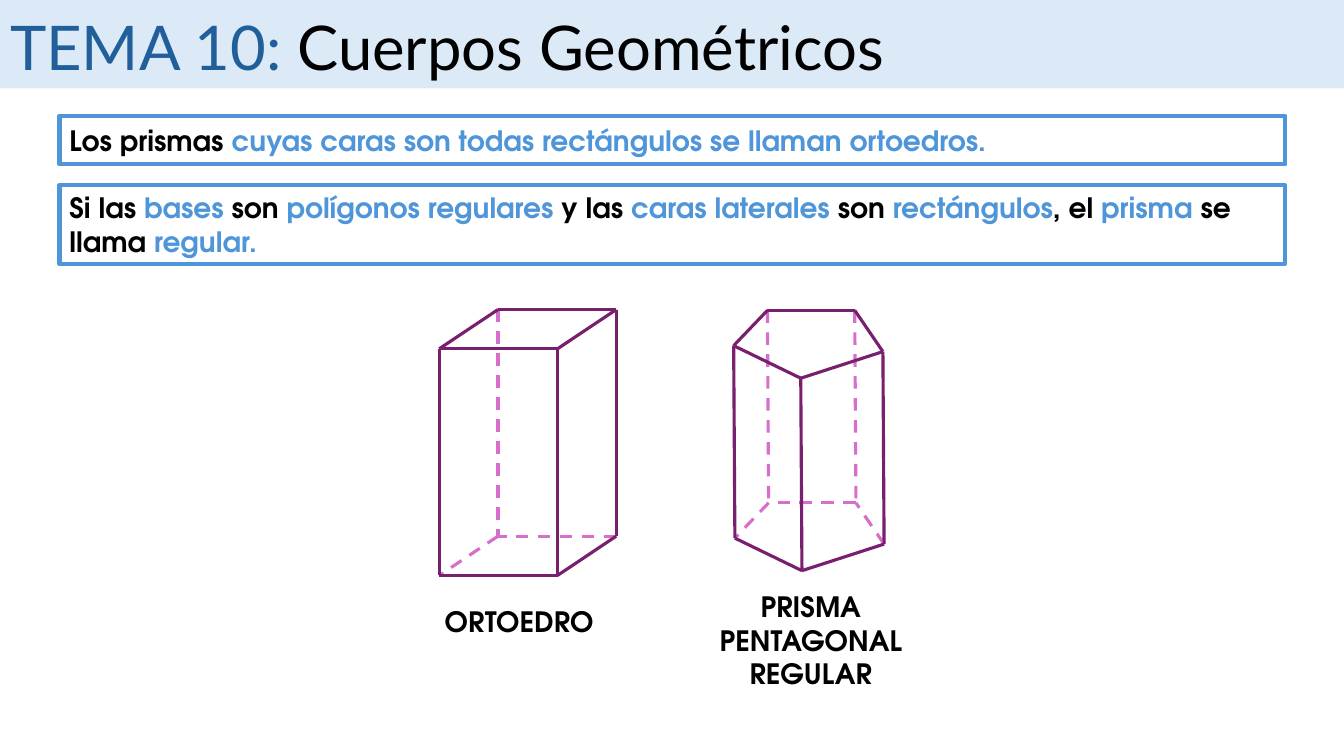
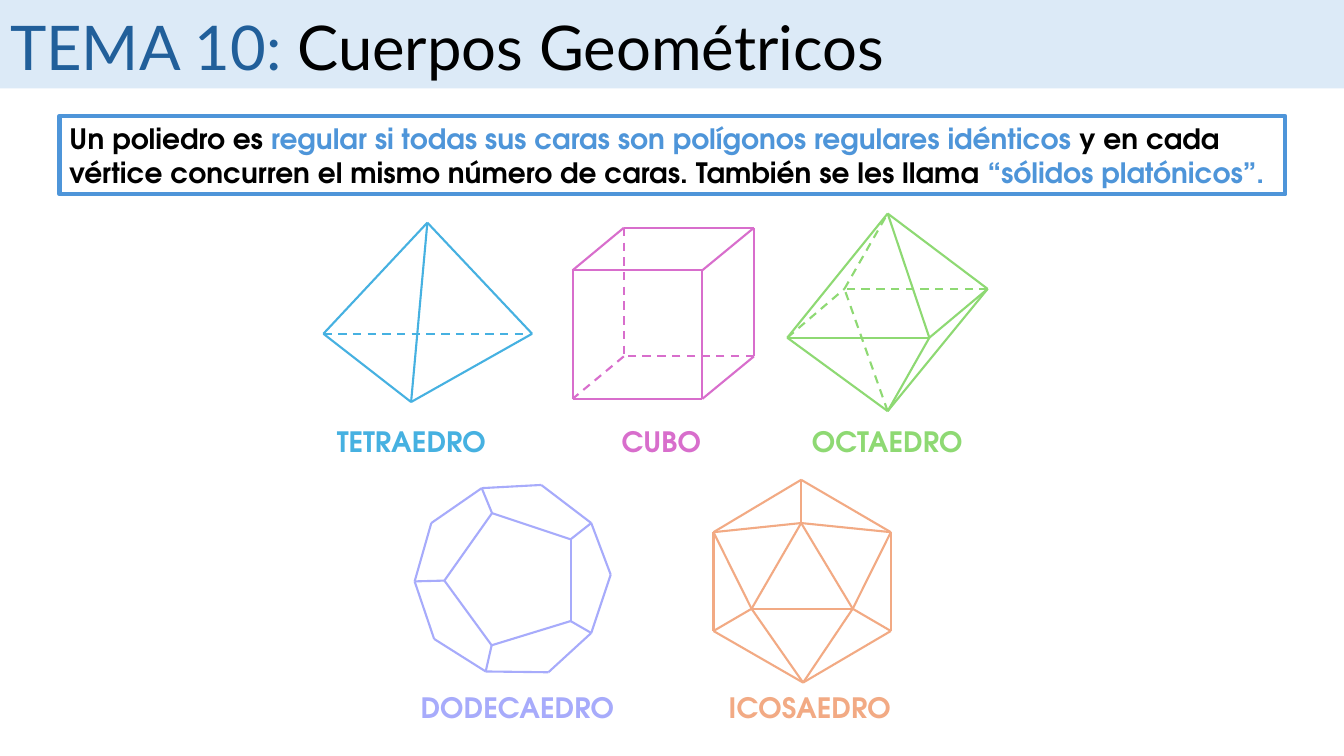
from dataclasses import dataclass
from itertools import cycle

from lxml.etree import SubElement
from pptx import Presentation
from pptx.dml.color import RGBColor
from pptx.enum.dml import MSO_LINE
from pptx.enum.shapes import MSO_CONNECTOR, MSO_SHAPE
from pptx.enum.text import MSO_ANCHOR as Anchor, PP_ALIGN as Align
from pptx.oxml.ns import qn
from pptx.util import Cm, Pt


@dataclass(frozen=True)
class Theme:
    title_font: str = "Lato"
    text_font: str = "TeX Gyre Adventor"
    title_size: int = 44
    text_size: int = 20
    black: str = "000000"
    band: str = "DCEAF7"
    title_blue: str = "215F9A"
    accent: str = "4E95D9"
    purple: str = "78206E"
    pink: str = "D86ECC"
    sky: str = "46B1E1"
    green: str = "8ED973"
    lilac: str = "A7ABFB"
    orange: str = "F2AA84"


theme = Theme()


def add_runs(para, pieces, colours, font=theme.text_font, size=theme.text_size, bold=True):
    """Add one run per piece, taking the colours in turn."""
    for piece, colour in zip(pieces, cycle(colours)):
        span = para.add_run()
        span.text = piece
        span.font.name, span.font.size, span.font.bold = font, Pt(size), bold
        span.font.color.rgb = RGBColor.from_string(colour)


def prism(top, shift, back):
    """Vertices, visible and hidden edges of a prism; back lists the hidden corners."""
    count = len(top)
    base = [(x + shift[0], y + shift[1]) for x, y in top]
    visible, hidden = [], []
    for i in range(count):
        following = (i + 1) % count
        visible.append((i, following))
        (hidden if i in back else visible).append((i, i + count))
        touches_back = i in back or following in back
        (hidden if touches_back else visible).append((i + count, following + count))
    return top + base, visible, hidden


# Solids: vertices in cm, visible edges, hidden edges
ortoedro = prism([(11.07, 8.79), (14.05, 8.79), (15.53, 7.8), (12.55, 7.8)], (0, 5.71), {3})
pentagonal = prism([(18.49, 8.71), (20.18, 9.53), (22.25, 8.86), (21.54, 7.82), (19.34, 7.82)],
                   (0.03, 4.85), {3, 4})
cubo = prism([(14.43, 6.81), (17.7, 6.81), (19, 5.74), (15.72, 5.74)], (0, 3.24), {3})
tetraedro = (
    {"A": (10.77, 5.61), "L": (8.15, 8.41), "R": (13.41, 8.41), "F": (10.36, 10.13)},
    "FR LF AL AR AF".split(), ["LR"])
octaedro = (
    {"T": (22.37, 5.38), "B": (22.37, 10.36), "L": (19.84, 8.51),
     "F": (23.42, 8.51), "R": (24.89, 7.28), "K": (21.28, 7.28)},
    "LF LB LT FR BF BR FT RT".split(), "BK LK RK KT".split())
dodecaedro = (
    {"a": (13.64, 12.22), "b": (14.9, 13.18), "c": (15.39, 14.48), "d": (14.9, 15.95),
     "e": (13.82, 16.94), "f": (12.24, 16.92), "g": (10.94, 16.1), "h": (10.45, 14.65),
     "i": (10.87, 13.18), "j": (12.14, 12.3),
     "v": (14.38, 13.59), "w": (14.38, 15.65), "x": (12.39, 16.26),
     "y": (11.2, 14.63), "z": (12.4, 12.93)},
    "ab bc cd de ef fg gh hi ij ja vw wx xy yz zv bv dw fx hy jz".split(), [])
icosaedro = (
    {"T": (20.19, 12.09), "U": (22.45, 13.41), "V": (22.45, 15.9), "B": (20.24, 17.2),
     "W": (17.98, 15.9), "X": (17.98, 13.41),
     "P": (20.19, 13.18), "Q": (21.49, 15.34), "R": (18.94, 15.34)},
    "TU UV VB BW WX XT PQ QR RP PT PU PX QU QV QB RB RW RX".split(), [])

# Slide contents
# definitions: top, height, pieces that alternate black and accent
# solids: solid, visible colour, hidden colour, line width
# labels: text, colour, left, top, width
slides = [
    {
        "definitions": [
            (2.92, 1.22, ["Los prismas ",
                          "cuyas caras son todas rectángulos se llaman ortoedros."]),
            (4.67, 1.98, ["Si las ", "bases ", "son ", "polígonos regulares ", "y las ",
                          "caras laterales ", "son ", "rectángulos", ", el ", "prisma",
                          " se llama ", "regular."]),
        ],
        "solids": [(ortoedro, theme.purple, theme.pink, 2.25),
                   (pentagonal, theme.purple, theme.pink, 2.25)],
        "labels": [("ORTOEDRO", theme.black, 10.57, 15.11, 5.03),
                   ("PRISMA PENTAGONAL\nREGULAR", theme.black, 17.12, 14.73, 6.63)],
    },
    {
        "definitions": [
            (2.92, 1.98, ["Un poliedro es ",
                          "regular si todas sus caras son polígonos regulares idénticos ",
                          "y en cada vértice concurren el mismo número de caras. "
                          "También se les llama ",
                          "“sólidos platónicos”."]),
        ],
        "solids": [(tetraedro, theme.sky, theme.sky, 1.5),
                   (cubo, theme.pink, theme.pink, 1.5),
                   (octaedro, theme.green, theme.green, 1.5),
                   (icosaedro, theme.orange, theme.orange, 1.5),
                   (dodecaedro, theme.lilac, theme.lilac, 1.5)],
        "labels": [("TETRAEDRO", theme.sky, 6.65, 10.57, 7.44),
                   ("CUBO", theme.pink, 12.95, 10.57, 7.44),
                   ("OCTAEDRO", theme.green, 18.64, 10.57, 7.44),
                   ("DODECAEDRO", theme.lilac, 9.32, 17.27, 7.44),
                   ("ICOSAEDRO", theme.orange, 16.69, 17.27, 7.44)],
    },
]

deck = Presentation()
deck.slide_width, deck.slide_height = Cm(33.87), Cm(19.05)
title_only = deck.slide_layouts[5]

for content in slides:
    page = deck.slides.add_slide(title_only)

    # Title band
    title = page.shapes.title
    title.left, title.top, title.width, title.height = 0, 0, deck.slide_width, Cm(2.23)
    title.fill.solid()
    title.fill.fore_color.rgb = RGBColor.from_string(theme.band)
    frame = title.text_frame
    frame.vertical_anchor = Anchor.MIDDLE
    frame.margin_top, frame.margin_bottom = Cm(0.23), Cm(0.13)
    para = frame.paragraphs[0]
    para.alignment = Align.LEFT
    add_runs(para, ["TEMA 10: ", "Cuerpos Geométricos"], [theme.title_blue, theme.black],
             theme.title_font, theme.title_size, False)

    # Framed definitions
    for top, height, pieces in content["definitions"]:
        box = page.shapes.add_shape(MSO_SHAPE.RECTANGLE, Cm(1.5), Cm(top), Cm(30.89), Cm(height))
        box.shadow.inherit = False
        box.fill.background()
        box.line.color.rgb = RGBColor.from_string(theme.accent)
        box.line.width = Pt(3)
        box.text_frame.word_wrap = True
        box.text_frame.vertical_anchor = Anchor.MIDDLE
        para = box.text_frame.paragraphs[0]
        para.alignment = Align.LEFT
        add_runs(para, pieces, [theme.black, theme.accent])

    # Solids, each one a group of edges with the hidden ones behind
    for (vertices, visible, hidden), colour, hidden_colour, width in content["solids"]:
        group = page.shapes.add_group_shape()
        for edges, edge_colour, dash in ((hidden, hidden_colour, MSO_LINE.DASH),
                                         (visible, colour, None)):
            for start, end in edges:
                points = [Cm(value) for value in (*vertices[start], *vertices[end])]
                edge = group.shapes.add_connector(MSO_CONNECTOR.STRAIGHT, *points)
                edge.line.color.rgb = RGBColor.from_string(edge_colour)
                edge.line.width = Pt(width)
                edge.line.dash_style = dash
                SubElement(edge._element.spPr, qn("a:effectLst"))

    # Labels
    for text, colour, left, top, width in content["labels"]:
        lines = text.split("\n")
        label = page.shapes.add_textbox(Cm(left), Cm(top), Cm(width), Cm(1.11 * len(lines)))
        frame = label.text_frame
        frame.word_wrap = True
        for number, line in enumerate(lines):
            para = frame.add_paragraph() if number else frame.paragraphs[0]
            para.alignment = Align.CENTER
            add_runs(para, [line], [colour])

deck.save("out.pptx")
